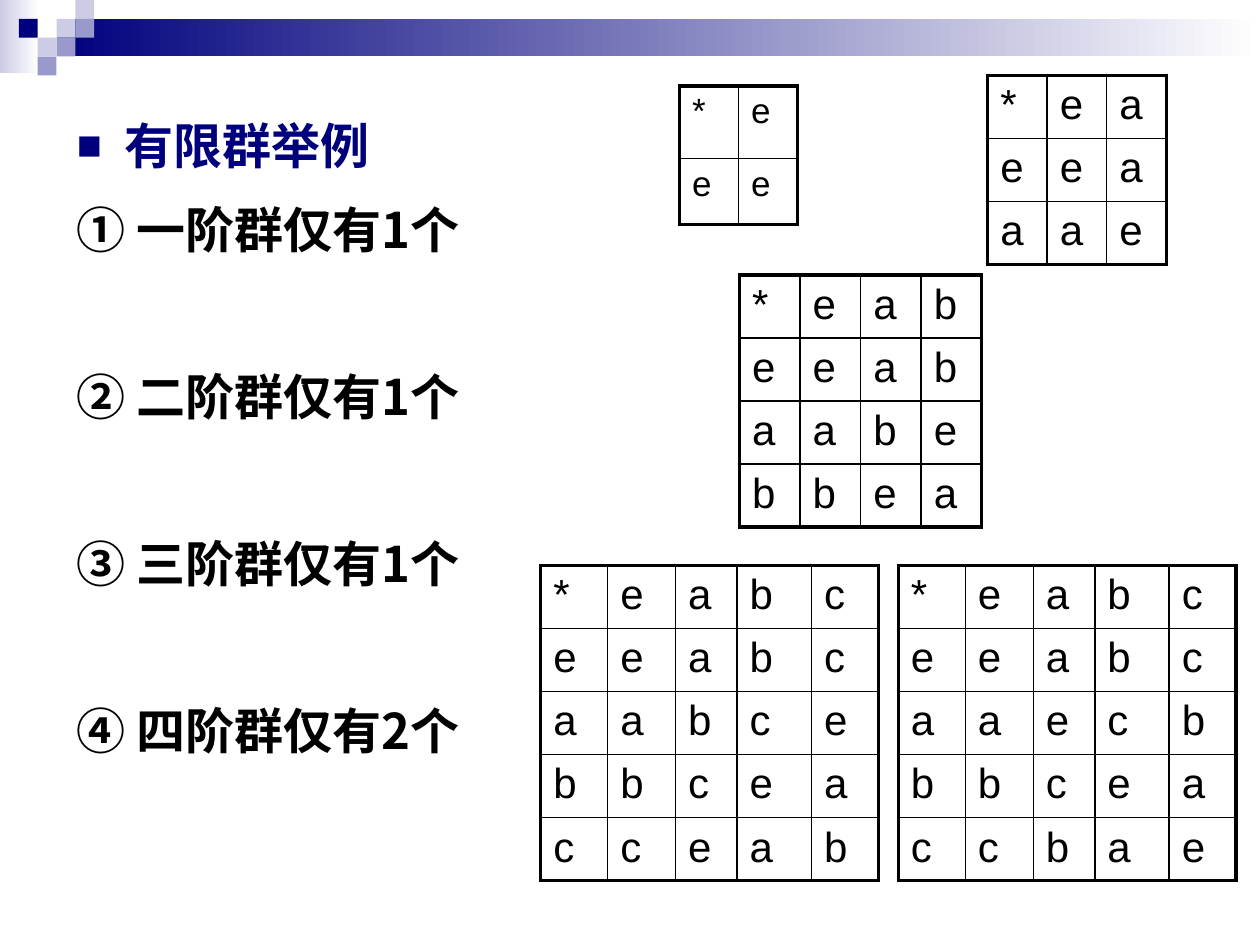
from lxml.etree import SubElement
from pptx import Presentation
from pptx.dml.color import RGBColor
from pptx.enum.shapes import MSO_SHAPE
from pptx.enum.text import PP_ALIGN
from pptx.oxml.ns import qn
from pptx.util import Cm, Pt

NAVY = RGBColor(0x00, 0x00, 0x7D)
LAVENDER = RGBColor(0xCC, 0xCC, 0xE6)
PERIWINKLE = RGBColor(0x99, 0x99, 0xCC)
WHITE = RGBColor(0xFF, 0xFF, 0xFF)
BLACK = RGBColor(0x00, 0x00, 0x00)

SQUARE = 0.38
ROW = 1.27


def cyclic_product(i, j, order):
    return (i + j) % order


def klein_product(i, j, order):
    return i ^ j


def cayley_rows(elements, product):
    """Return the multiplication table with its header row and column."""
    order = len(elements)
    body = [
        [elements[i]] + [elements[product(i, j, order)] for j in range(order)]
        for i in range(order)
    ]
    return [["*", *elements]] + body


class GroupSlide:
    heading_font = "Noto Sans CJK SC"
    table_font = "Arial"
    outer_line = Pt(2.25)
    inner_line = Pt(1)

    def __init__(self, slide):
        self.slide = slide

    def rectangle(self, left, top, width, height, color, fade=False):
        """Add a borderless rectangle, fading to white on the right if asked."""
        box = self.slide.shapes.add_shape(
            MSO_SHAPE.RECTANGLE, Cm(left), Cm(top), Cm(width), Cm(height))
        box.shadow.inherit = False
        box.line.fill.background()
        if fade:
            box.fill.gradient()
            box.fill.gradient_angle = 0
            start, end = box.fill.gradient_stops
            start.color.rgb, start.position = color, 0
            end.color.rgb, end.position = WHITE, 1
        else:
            box.fill.solid()
            box.fill.fore_color.rgb = color

    def outline(self, left, top, width, height, heading, items):
        frame = self.slide.shapes.add_textbox(
            Cm(left), Cm(top), Cm(width), Cm(height)).text_frame
        frame.word_wrap = True
        title = frame.paragraphs[0]
        self.line(title, heading, NAVY, 0)
        self.bullet(title)
        for index, item in enumerate(items):
            self.line(frame.add_paragraph(), item, BLACK, 59.5 if index else 11.5)

    def line(self, paragraph, text, color, space_before):
        run = paragraph.add_run()
        run.text = text
        paragraph.alignment = PP_ALIGN.JUSTIFY
        paragraph.line_spacing = Pt(36)
        paragraph.space_before = Pt(space_before)
        font = paragraph.font
        font.name, font.size, font.bold = self.heading_font, Pt(28), True
        font.color.rgb = color
        # East Asian glyphs take their face from a:ea, not a:latin
        east_asian = SubElement(run.font._element, qn("a:ea"))
        east_asian.set("typeface", self.heading_font)

    def bullet(self, paragraph):
        properties = paragraph._p.get_or_add_pPr()
        properties.set("marL", str(Cm(0.96)))
        properties.set("indent", str(-Cm(0.96)))
        defaults = properties.find(qn("a:defRPr"))
        color = SubElement(properties, qn("a:buClr"))
        SubElement(color, qn("a:srgbClr")).set("val", str(NAVY))
        SubElement(properties, qn("a:buSzPct")).set("val", "85000")
        SubElement(properties, qn("a:buFont")).set("typeface", self.table_font)
        SubElement(properties, qn("a:buChar")).set("char", "■")
        properties.append(defaults)

    def cayley_table(self, left, top, widths, heights, rows, size=24):
        table = self.slide.shapes.add_table(
            len(rows), len(widths), Cm(left), Cm(top),
            Cm(sum(widths)), Cm(sum(heights))).table
        table.first_row = table.horz_banding = False
        for column, width in zip(table.columns, widths):
            column.width = Cm(width)
        for row, height in zip(table.rows, heights):
            row.height = Cm(height)
        last = len(rows) - 1
        for r, row in enumerate(rows):
            for c, symbol in enumerate(row):
                cell = table.cell(r, c)
                cell.text = symbol
                font = cell.text_frame.paragraphs[0].font
                font.name, font.size = self.table_font, Pt(size)
                font.color.rgb = BLACK
                self.borders(cell, lnL=c == 0, lnR=c == last,
                             lnT=r == 0, lnB=r == last)
                cell.fill.background()

    def borders(self, cell, **outer_sides):
        properties = cell._tc.get_or_add_tcPr()
        for side, is_outer in outer_sides.items():
            border = SubElement(properties, qn(f"a:{side}"))
            border.set("w", str(self.outer_line if is_outer else self.inner_line))
            fill = SubElement(border, qn("a:solidFill"))
            SubElement(fill, qn("a:srgbClr")).set("val", str(BLACK))


def main():
    presentation = Presentation()
    presentation.slide_width, presentation.slide_height = Cm(25.4), Cm(19.05)
    page = GroupSlide(presentation.slides.add_slide(presentation.slide_layouts[6]))

    page.rectangle(0, 0, 0.79, 1.47, LAVENDER, fade=True)
    page.rectangle(1.14, SQUARE, 24.26, 0.76, NAVY, fade=True)
    mosaic = [
        (3, 1, LAVENDER), (4, 0, LAVENDER), (4, 1, PERIWINKLE), (2, 2, LAVENDER),
        (1, 1, NAVY), (3, 2, PERIWINKLE), (2, 3, PERIWINKLE),
    ]
    for column, row, color in mosaic:
        page.rectangle(column * SQUARE, row * SQUARE, SQUARE, SQUARE, color)

    page.outline(1.3, 2.13, 12.01, 13.92, "有限群举例", [
        "① 一阶群仅有1个",
        "② 二阶群仅有1个",
        "③ 三阶群仅有1个",
        "④ 四阶群仅有2个",
    ])

    page.cayley_table(13.7, 1.73, [1.19] * 2, [1.47, 1.32],
                      cayley_rows("e", cyclic_product), size=20)
    page.cayley_table(19.91, 1.52, [1.2] * 3, [ROW] * 3,
                      cayley_rows("ea", cyclic_product))
    page.cayley_table(14.91, 5.54, [1.22] * 4, [ROW] * 4,
                      cayley_rows("eab", cyclic_product))
    for left, product in ((10.9, cyclic_product), (18.11, klein_product)):
        page.cayley_table(left, 11.4, [1.35, 1.37, 1.24, 1.5, 1.35], [ROW] * 5,
                          cayley_rows("eabc", product))

    presentation.save("out.pptx")


if __name__ == "__main__":
    main()
